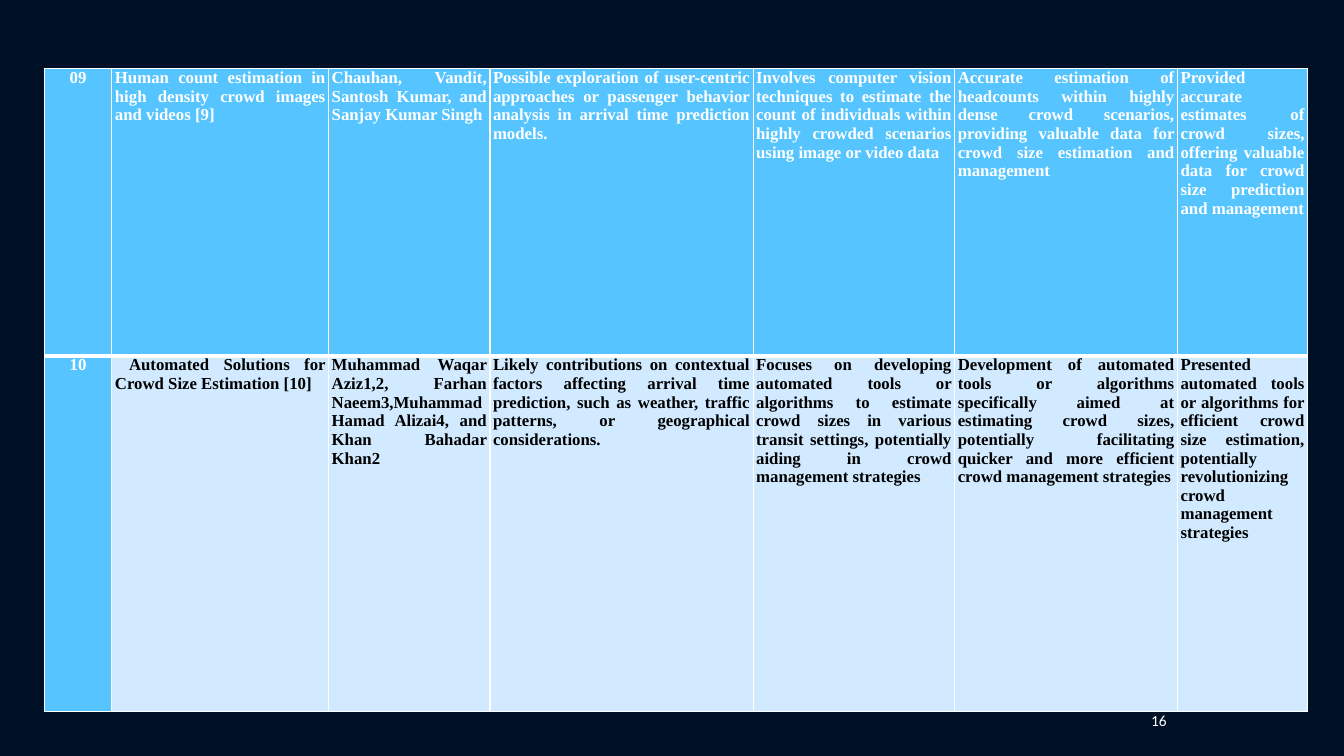
from lxml import etree
from pptx import Presentation
from pptx.dml.color import RGBColor
from pptx.enum import text
from pptx.oxml.ns import qn
from pptx.util import Inches, Pt

COLORS = {"back": "001027", "head": "56C5FF", "body": "D1EAFF",
          "light": "FFFFFF", "dark": "000000"}
WIDTHS = [0.67, 2.15, 1.6, 2.61, 2, 2.21, 1.29]
HEIGHTS = [2.85, 3.53]
PAPERS = [
    ["09",
     "Human count estimation in high density crowd images and videos [9]",
     "Chauhan, Vandit, Santosh Kumar, and Sanjay Kumar Singh",
     "Possible exploration of user-centric approaches or passenger behavior "
     "analysis in arrival time prediction models.",
     "Involves computer vision techniques to estimate the count of individuals "
     "within highly crowded scenarios using image or video data",
     "Accurate estimation of headcounts within highly dense crowd scenarios, "
     "providing valuable data for crowd size estimation and management",
     "Provided accurate estimates of crowd sizes, offering valuable data for "
     "crowd size prediction and management"],
    ["10",
     "Automated Solutions for Crowd Size Estimation [10]",
     "Muhammad Waqar Aziz1,2, Farhan Naeem3,Muhammad Hamad Alizai4, "
     "and Khan Bahadar Khan2",
     "Likely contributions on contextual factors affecting arrival time "
     "prediction, such as weather, traffic patterns, or geographical "
     "considerations.",
     "Focuses on developing automated tools or algorithms to estimate crowd "
     "sizes in various transit settings, potentially aiding in crowd "
     "management strategies",
     "Development of automated tools or algorithms specifically aimed at "
     "estimating crowd sizes, potentially facilitating quicker and more "
     "efficient crowd management strategies",
     "Presented automated tools or algorithms for efficient crowd size "
     "estimation, potentially revolutionizing crowd management strategies"],
]
INDENTS = {(1, 1): 0.14}  # first-line indent by (row, column)
PAGE = "16"


def color(name):
    return RGBColor.from_string(COLORS[name])


def style(para, face, size, shade, align, bold=False):
    para.alignment = align
    font = para.font
    font.name, font.size, font.bold = face, Pt(size), bold
    font.color.rgb = color(shade)


def border(cell, row):
    """Draw thin white edges, with a thick one between the two rows."""
    props = cell._tc.get_or_add_tcPr()
    thick = "B" if row == 0 else "T"
    for side in "LRTB":
        line = etree.SubElement(props, qn("a:ln" + side),
                                w=str(Pt(3 if side == thick else 1)))
        fill = etree.SubElement(line, qn("a:solidFill"))
        etree.SubElement(fill, qn("a:srgbClr"), val=COLORS["light"])


def fill_cell(cell, words, row, col):
    head = row == 0 or col == 0
    border(cell, row)
    cell.fill.solid()
    cell.fill.fore_color.rgb = color("head" if head else "body")
    cell.margin_left = cell.margin_right = Inches(0.03)
    cell.margin_top = cell.margin_bottom = 0
    cell.text = words
    para = cell.text_frame.paragraphs[0]
    align = text.PP_ALIGN.JUSTIFY if col else text.PP_ALIGN.CENTER
    style(para, "Times New Roman", 12, "light" if head else "dark", align, True)
    if (row, col) in INDENTS:
        para._p.get_or_add_pPr().set("indent", str(Inches(INDENTS[row, col])))


def add_papers(slide):
    frame = slide.shapes.add_table(
        len(HEIGHTS), len(WIDTHS), Inches(0.44), Inches(0.68),
        Inches(sum(WIDTHS)), Inches(sum(HEIGHTS)))
    table = frame.table
    for col, width in zip(table.columns, WIDTHS):
        col.width = Inches(width)
    for row, height in zip(table.rows, HEIGHTS):
        row.height = Inches(height)
    for row, paper in enumerate(PAPERS):
        for col, words in enumerate(paper):
            fill_cell(table.cell(row, col), words, row, col)


def add_page(slide):
    box = slide.shapes.add_textbox(Inches(10.75), Inches(7),
                                   Inches(0.92), Inches(0.3))
    frame = box.text_frame
    frame.word_wrap = True
    frame.vertical_anchor = text.MSO_ANCHOR.MIDDLE
    frame.text = PAGE
    style(frame.paragraphs[0], "Calibri", 11, "light", text.PP_ALIGN.RIGHT)


def main():
    deck = Presentation()
    deck.slide_width, deck.slide_height = Inches(13.33), Inches(7.5)
    slide = deck.slides.add_slide(deck.slide_layouts[6])
    back = slide.background.fill
    back.solid()
    back.fore_color.rgb = color("back")
    add_papers(slide)
    add_page(slide)
    deck.save("out.pptx")


if __name__ == "__main__":
    main()
